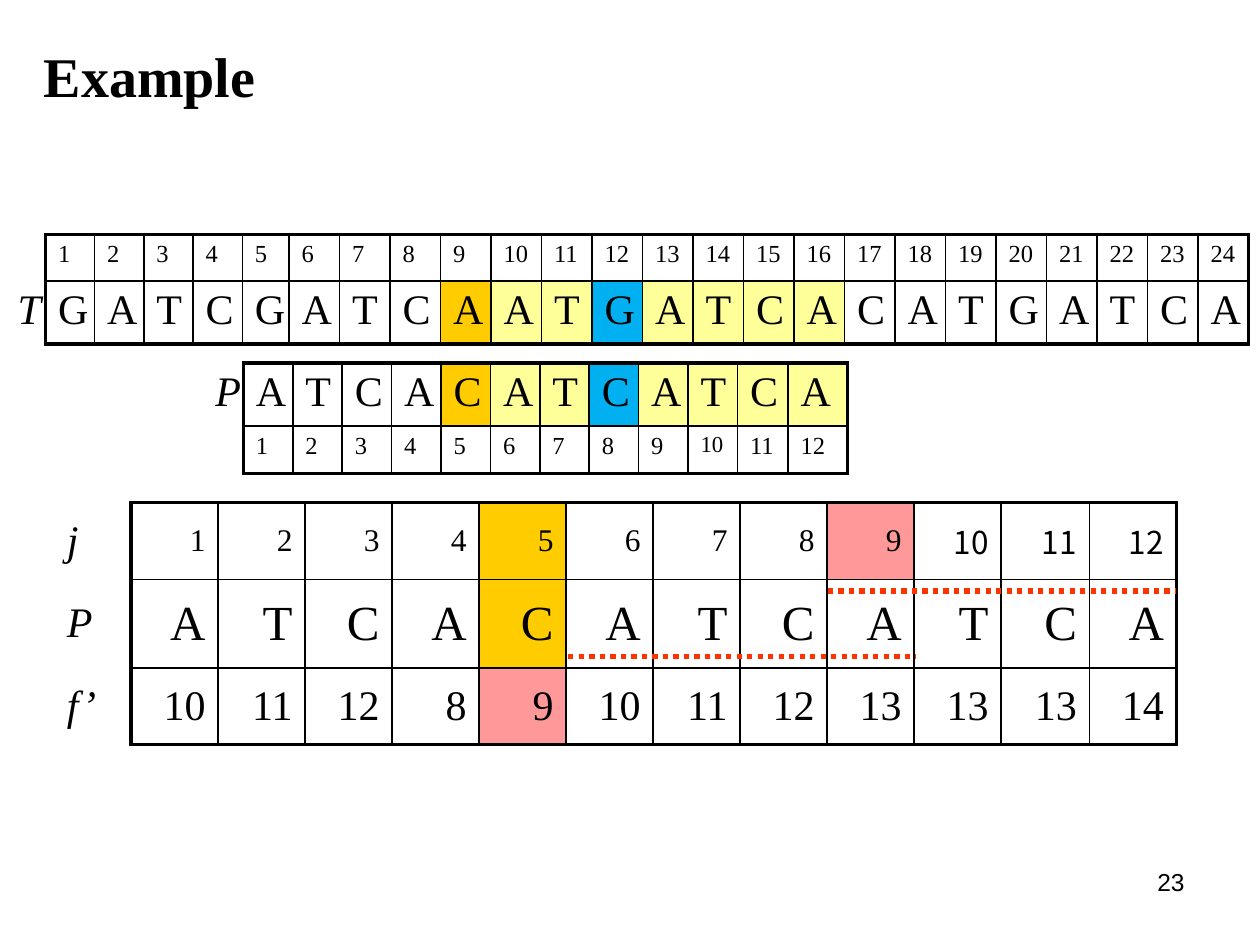
from dataclasses import dataclass

from lxml import etree
from pptx import Presentation
from pptx.dml.color import RGBColor
from pptx.enum import dml, shapes, text
from pptx.oxml.ns import qn
from pptx.util import Inches, Pt

NO_STYLE = "{2D5ABB26-0587-4C30-8999-92F81FD0307C}"


@dataclass(frozen=True)
class Theme:
    serif: str = "Times New Roman"
    sans: str = "Arial"
    cjk: str = "Noto Sans CJK TC"
    ink: str = "000000"
    orange: str = "FFCC00"
    yellow: str = "FFFF99"
    blue: str = "00B0F0"
    pink: str = "FF9999"
    red: str = "FF3300"
    title: int = 32
    large: int = 28
    letter: int = 24
    medium: int = 18
    small: int = 14
    tight: int = 13
    thin: float = 1
    thick: float = 2.25
    dotted: float = 3


@dataclass
class Row:
    label: str
    values: list
    height: float
    size: int
    fills: dict      # column number -> colour
    fonts: dict      # column number -> font name
    sizes: dict      # column number -> text size


def row(label, values, height, size, fills=None, fonts=None, sizes=None):
    return Row(label, list(values), height, size, fills or {}, fonts or {}, sizes or {})


class SlideBuilder:
    def __init__(self, slide, theme):
        self.s, self.th = slide, theme

    def run(self, p, content, size, font=None, bold=False, italic=False):
        r = p.add_run()
        r.text = content
        r.font.size, r.font.name = Pt(size), font or self.th.serif
        r.font.bold, r.font.italic = bold, italic
        r.font.color.rgb = RGBColor.from_string(self.th.ink)

    def text_box(self, content, box, size, font, align=text.PP_ALIGN.LEFT, bold=False,
                 wrap=True):
        tf = self.s.shapes.add_textbox(*map(Inches, box)).text_frame
        tf.word_wrap = wrap
        p = tf.paragraphs[0]
        p.alignment = align
        self.run(p, content, size, font, bold)

    def dotted_line(self, x1, x2, y):
        ln = self.s.shapes.add_connector(shapes.MSO_CONNECTOR.STRAIGHT,
                                         *map(Inches, (x1, y, x2, y)))
        ln.line.color.rgb = RGBColor.from_string(self.th.red)
        ln.line.width = Pt(self.th.dotted)
        ln.line.dash_style = dml.MSO_LINE.ROUND_DOT
        etree.SubElement(ln._element.spPr, qn("a:effectLst"))

    def borders(self, cell, widths):
        """Draw the given sides, named L, R, T and B in that order."""
        tc_pr = cell._tc.get_or_add_tcPr()
        for side, width in widths.items():
            ln = etree.SubElement(tc_pr, qn(f"a:ln{side}"), w=str(Pt(width)))
            fill = etree.SubElement(ln, qn("a:solidFill"))
            etree.SubElement(fill, qn("a:srgbClr"), val=self.th.ink)

    def table(self, left, top, width, col_shares, rows, align=text.PP_ALIGN.LEFT,
              anchor=text.MSO_ANCHOR.TOP):
        """Grid with a thick frame, and a label column outside the frame."""
        th, last_row, last_col = self.th, len(rows) - 1, len(col_shares) - 1
        height = sum(line.height for line in rows)
        frame = self.s.shapes.add_table(len(rows), len(col_shares),
                                        *map(Inches, (left, top, width, height)))
        tbl = frame.table
        tbl.first_row = tbl.horz_banding = False
        tbl._tbl.tblPr.find(qn("a:tableStyleId")).text = NO_STYLE
        for col, share in zip(tbl.columns, col_shares):
            col.width = Inches(width * share / sum(col_shares))

        for i, line in enumerate(rows):
            tbl.rows[i].height = Inches(line.height)
            for j, value in enumerate([line.label] + line.values):
                cell = tbl.cell(i, j)
                cell.vertical_anchor = anchor
                p = cell.text_frame.paragraphs[0]
                p.alignment = align if j else text.PP_ALIGN.LEFT
                size = line.sizes.get(j, line.size) if j else th.letter
                if value:
                    self.run(p, str(value), size, line.fonts.get(j), italic=j == 0)
                else:
                    end = etree.SubElement(p._p, qn("a:endParaRPr"))
                    end.set("sz", str(th.small * 100))
                if j:
                    outer = {"L": j == 1, "R": j == last_col,
                             "T": i == 0, "B": i == last_row}
                else:
                    outer = {"R": True}
                self.borders(cell, {side: th.thick if edge else th.thin
                                    for side, edge in outer.items()})
                if j in line.fills:
                    cell.fill.solid()
                    cell.fill.fore_color.rgb = RGBColor.from_string(line.fills[j])
                else:
                    cell.fill.background()


def match_fills(th, first):
    """Colours of the eight compared letters, starting at column first."""
    fills = {first + k: th.yellow for k in range(8)}
    return fills | {first: th.orange, first + 3: th.blue}


def main():
    prs = Presentation()
    prs.slide_width, prs.slide_height = Inches(10), Inches(7.5)
    th = Theme()
    b = SlideBuilder(prs.slides.add_slide(prs.slide_layouts[6]), th)
    pattern = "ATCACATCATCA"
    positions = range(1, len(pattern) + 1)

    b.text_box("23", (7.17, 6.83, 2.33, 0.52), th.small, th.sans, text.PP_ALIGN.RIGHT)

    b.table(0.43, 3.99, 8.91, [0.61] + [0.69] * 10 + [0.7, 0.69], [
        row("j", positions, 0.61, th.medium, {5: th.orange, 9: th.pink},
            fonts=dict.fromkeys((10, 11, 12), th.cjk)),
        row("P", pattern, 0.7, th.large, {5: th.orange}),
        row("f’", [10, 11, 12, 8, 9, 10, 11, 12, 13, 13, 13, 14], 0.61, th.letter,
            {5: th.pink}),
    ], text.PP_ALIGN.RIGHT, text.MSO_ANCHOR.MIDDLE)

    b.table(0.04, 1.86, 9.87, [0.32] + [0.39] * 4 + [0.37] + [0.4] * 19, [
        row("", range(1, 25), 0.37, th.small),
        row("T", "GATCGATCAATGATCACATGATCA", 0.5, th.letter, match_fills(th, 9)),
    ])

    b.table(1.61, 2.88, 5.12, [0.32] + [0.39] * 10 + [0.4, 0.47], [
        row("P", pattern, 0.5, th.letter, match_fills(th, 5)),
        row("", positions, 0.38, th.small, sizes={10: th.tight}),
    ])

    b.text_box("Example", (0.25, 0.28, 1.88, 0.63), th.title, th.serif, bold=True,
               wrap=False)
    b.dotted_line(6.57, 9.33, 4.69)
    b.dotted_line(4.51, 7.27, 5.21)
    prs.save("out.pptx")


if __name__ == "__main__":
    main()
